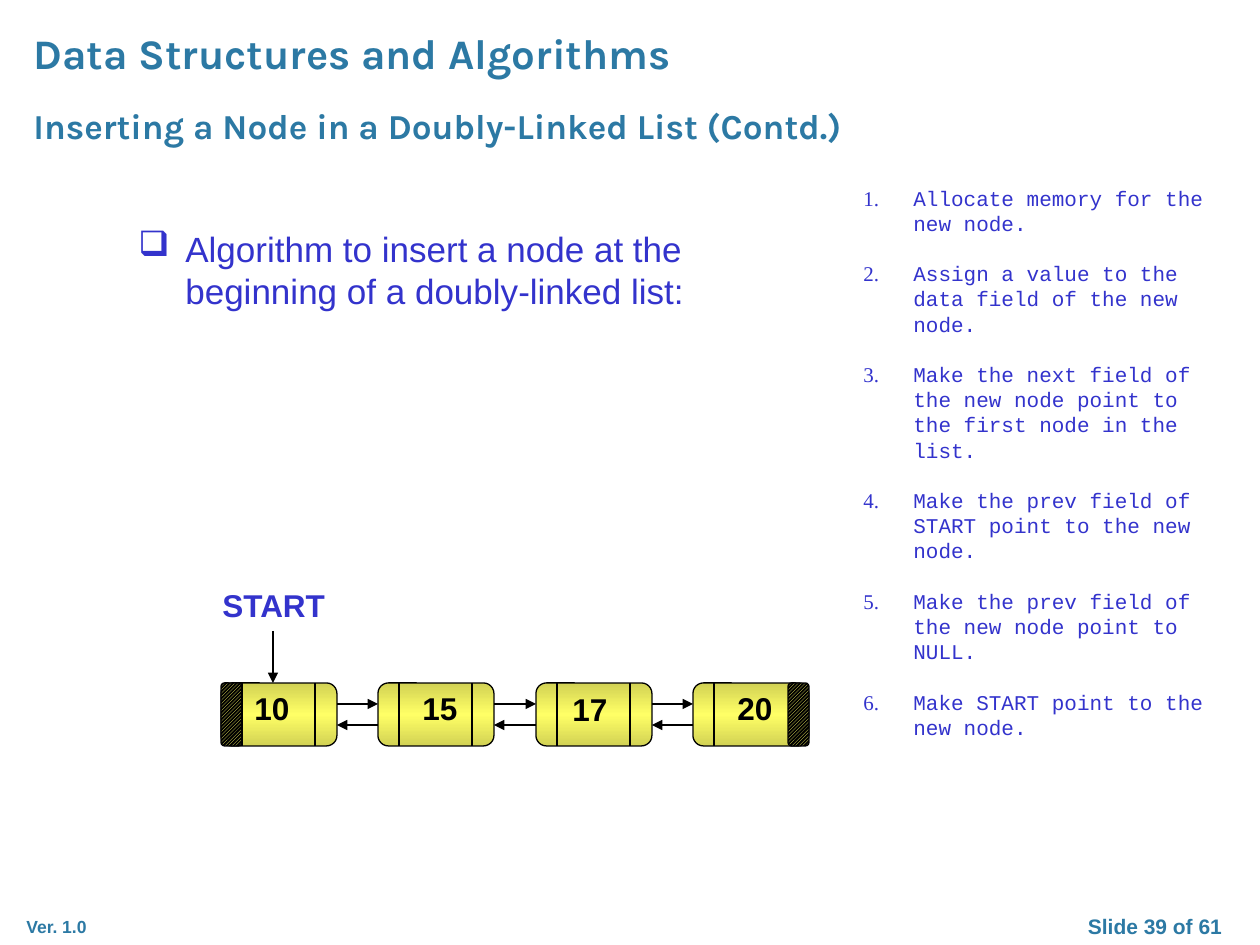
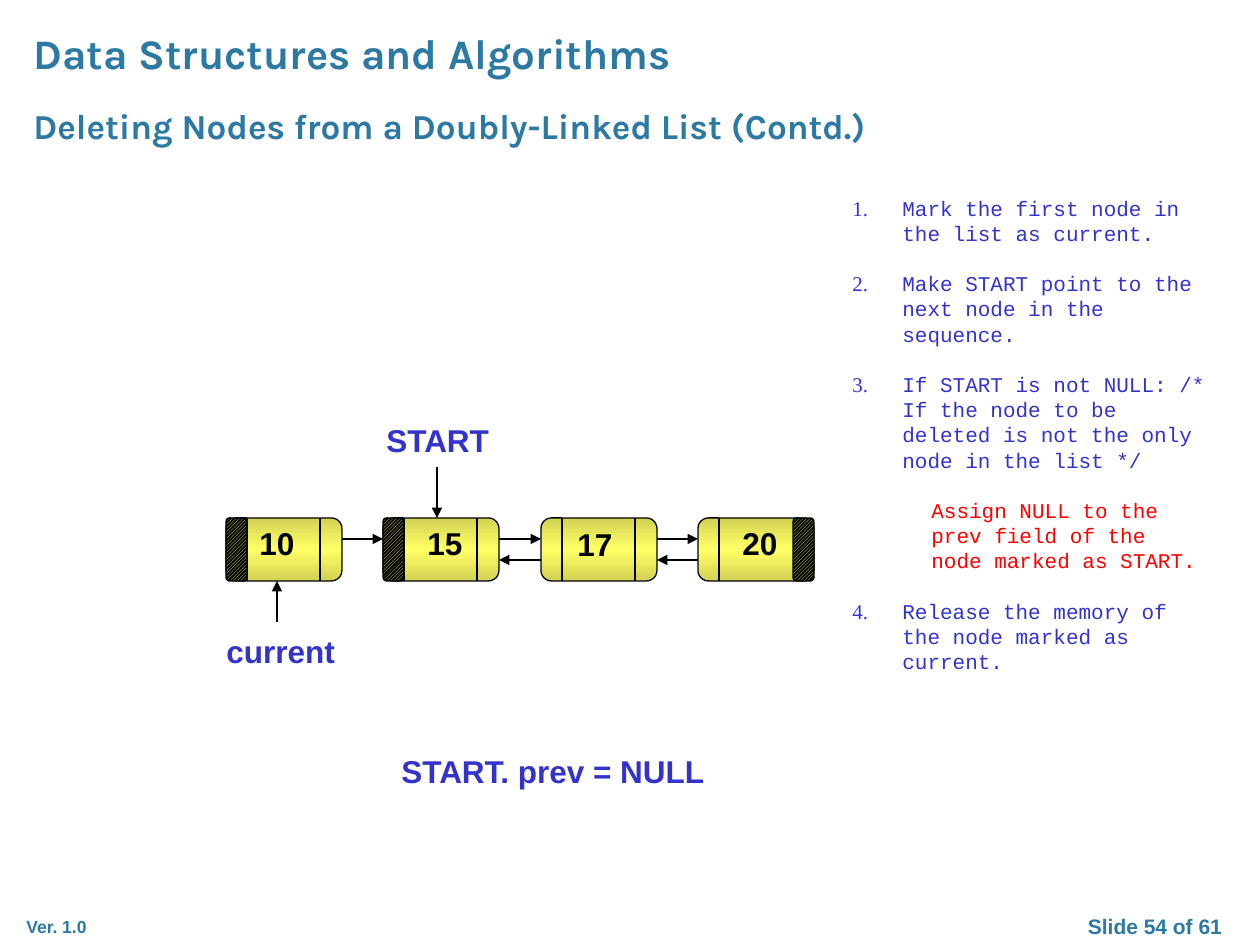
"""Build two slides on inserting and deleting nodes in a doubly-linked list."""
from copy import deepcopy

from lxml import etree
from pptx import Presentation
from pptx import util as u
from pptx.dml.color import RGBColor
from pptx.enum import dml, shapes, text
from pptx.oxml.ns import qn

PX = 914400 / 126
COLOURS = {
    "heading": "2C79A4",
    "body": "3333CC",
    "alert": "FF0000",
    "ink": "000000",
    "node_edge": "D2D254",
    "node_middle": "FFFF66",
}
RGB = {name: RGBColor.from_string(value) for name, value in COLOURS.items()}
SLIDES = [
    {
        "number": 39,
        "heading": "Inserting a Node in a Doubly-Linked List (Contd.)",
        "bullet": "Algorithm to insert a node at the beginning of a doubly-linked list:",
        "steps_box": (851, 179, 378, 602),
        "steps": [
            ("1.", "Allocate memory for the new node."),
            ("2.", "Assign a value to the data field of the new node."),
            ("3.", "Make the next field of the new node point to the first node in the list."),
            ("4.", "Make the prev field of START point to the new node."),
            ("5.", "Make the prev field of the new node point to NULL."),
            ("6.", "Make START point to the new node."),
        ],
        "list_origin": (221, 683),
        "left_caps": [0],
        "labels": [("START", 210, 580, 130)],
        "pointers": [(273, 631, 683, 0.75)],
    },
    {
        "number": 54,
        "heading": "Deleting Nodes from a Doubly-Linked List (Contd.)",
        "bullet": None,
        "steps_box": (840, 189, 378, 496),
        "steps": [
            ("1.", "Mark the first node in the list as current."),
            ("2.", "Make START point to the next node in the sequence."),
            ("3.", "If START is not NULL: /* If the node to be deleted is not the only node in the list */"),
            (None, "Assign NULL to the prev field of the node marked as START."),
            ("4.", "Release the memory of the node marked as current."),
        ],
        "list_origin": (226, 518),
        "left_caps": [0, 1],
        "labels": [
            ("START", 374, 415, 130),
            ("current", 214, 626, 140),
            ("START. prev = NULL", 389, 746, 350),
        ],
        "pointers": [(437, 467, 518, 0.75), (277, 622, 581, 1.25)],
    },
]
NODES = [("10", 21, 0), ("15", 32, 0), ("17", 24, 1), ("20", 32, 0)]
NODE_WIDTH, NODE_HEIGHT, CAP_WIDTH, NEXT_FIELD = 116, 63, 21, 94


def add_text(slide, box, paragraphs, size, bold=True, align=text.PP_ALIGN.LEFT):
    """Add a text box whose paragraphs are lists of (text, font, colour) runs."""
    shape = slide.shapes.add_textbox(*[round(value * PX) for value in box])
    frame = shape.text_frame
    frame.word_wrap = True
    for index, runs in enumerate(paragraphs):
        paragraph = frame.add_paragraph() if index else frame.paragraphs[0]
        paragraph.alignment = align
        paragraph.line_spacing = u.Pt(size * 1.2)
        for words, font, colour in runs:
            run = paragraph.add_run()
            run.text = words
            run.font.name, run.font.size, run.font.bold = font, u.Pt(size), bold
            run.font.color.rgb = RGB[colour]
    return frame


def add_line(slide, ends, width=0.75, arrow=False):
    """Add a black straight line, with an arrowhead at its end if asked."""
    connector = slide.shapes.add_connector(
        shapes.MSO_CONNECTOR.STRAIGHT, *[round(value * PX) for value in ends])
    connector.line.color.rgb = RGB["ink"]
    connector.line.width = u.Pt(width)
    properties = connector._element.spPr
    if arrow:
        etree.SubElement(properties.find(qn("a:ln")), qn("a:tailEnd"), type="triangle")
    etree.SubElement(properties, qn("a:effectLst"))


presentation = Presentation()
presentation.slide_width = u.Inches(10)
presentation.slide_height = u.Inches(7.5)

for content in SLIDES:
    slide = presentation.slides.add_slide(presentation.slide_layouts[6])

    add_text(slide, (1050, 907, 210, 77),
             [[(f"Slide {content['number']} of 61", "Arial", "heading")]], 12,
             align=text.PP_ALIGN.CENTER)
    add_text(slide, (21, 21, 1050, 140),
             [[("Data Structures and Algorithms", "Karla", "heading")]], 24)
    add_text(slide, (14, 910, 105, 34), [[("Ver. 1.0", "Arial", "heading")]], 10)
    add_text(slide, (21, 98, 1000, 55), [[(content["heading"], "Karla", "heading")]], 20)

    if content["bullet"]:
        frame = add_text(slide, (126, 221, 640, 630),
                         [[(content["bullet"], "Arial", "body")]], 20, bold=False)
        properties = frame.paragraphs[0]._p.get_or_add_pPr()
        properties.set("marL", str(round(47 * PX)))
        properties.set("indent", str(round(-47 * PX)))
        etree.SubElement(properties, qn("a:buChar"), char="❑")

    steps = [
        [(number, "Times New Roman", "body"), ("\t" + words, "Courier New", "body")]
        if number else [(words, "Courier New", "alert")]
        for number, words in content["steps"]
    ]
    frame = add_text(slide, content["steps_box"], steps, 12, bold=False)
    for index, paragraph in enumerate(frame.paragraphs):
        paragraph.space_before = u.Pt(14.4 if index else 0)
        margin, indent = (50, -50) if content["steps"][index][0] else (79, 0)
        properties = paragraph._p.get_or_add_pPr()
        properties.set("marL", str(round(margin * PX)))
        properties.set("indent", str(round(indent * PX)))

    origin, top = content["list_origin"]
    lefts = [origin + 315 * index // 2 for index in range(len(NODES))]
    last = len(NODES) - 1
    for index, (value, text_left, text_drop) in enumerate(NODES):
        left = lefts[index]
        parts = [(left, NODE_WIDTH, False)]
        if index in content["left_caps"]:
            parts.append((left, CAP_WIDTH, True))
        if index == last:
            parts.append((left + NODE_WIDTH - CAP_WIDTH, CAP_WIDTH, True))
        for part_left, width, is_null in parts:
            shape = slide.shapes.add_shape(
                shapes.MSO_SHAPE.ROUNDED_RECTANGLE,
                *[round(length * PX) for length in (part_left, top, width, NODE_HEIGHT)])
            shape.shadow.inherit = False
            shape.line.color.rgb = RGB["ink"]
            shape.line.width = u.Pt(0.75)
            if is_null:
                shape.fill.patterned()
                shape.fill.pattern = dml.MSO_PATTERN.DARK_UPWARD_DIAGONAL
                shape.fill.fore_color.rgb = RGB["node_middle"]
                shape.fill.back_color.rgb = RGB["ink"]
            else:
                shape.fill.gradient()
                shape.fill.gradient_angle = 90
                for stop in shape.fill.gradient_stops:
                    stop.color.rgb = RGB["node_edge"]
                stops = shape._element.spPr.find(".//" + qn("a:gsLst"))
                stops.insert(1, deepcopy(stops[0]))
                middle = shape.fill.gradient_stops[1]
                middle.position = 0.5
                middle.color.rgb = RGB["node_middle"]

        dividers = [left + CAP_WIDTH] + ([left + NEXT_FIELD] if index < last else [])
        for x in dividers:
            add_line(slide, (x, top, x, top + NODE_HEIGHT))
        add_text(slide, (left + text_left, top + text_drop, 66, 50),
                 [[(value, "Arial", "ink")]], 18)

        if index < last:
            right, following = left + NODE_WIDTH, lefts[index + 1]
            add_line(slide, (right, top + 21, following, top + 21), 1.25, True)
            if index + 1 not in content["left_caps"]:
                add_line(slide, (following, top + 42, right, top + 42), 1.25, True)

    for words, left, label_top, width in content["labels"]:
        add_text(slide, (left, label_top, width, 50), [[(words, "Arial", "body")]], 18)
    for x, start, end, width in content["pointers"]:
        add_line(slide, (x, start, x, end), width, True)

presentation.save("out.pptx")
